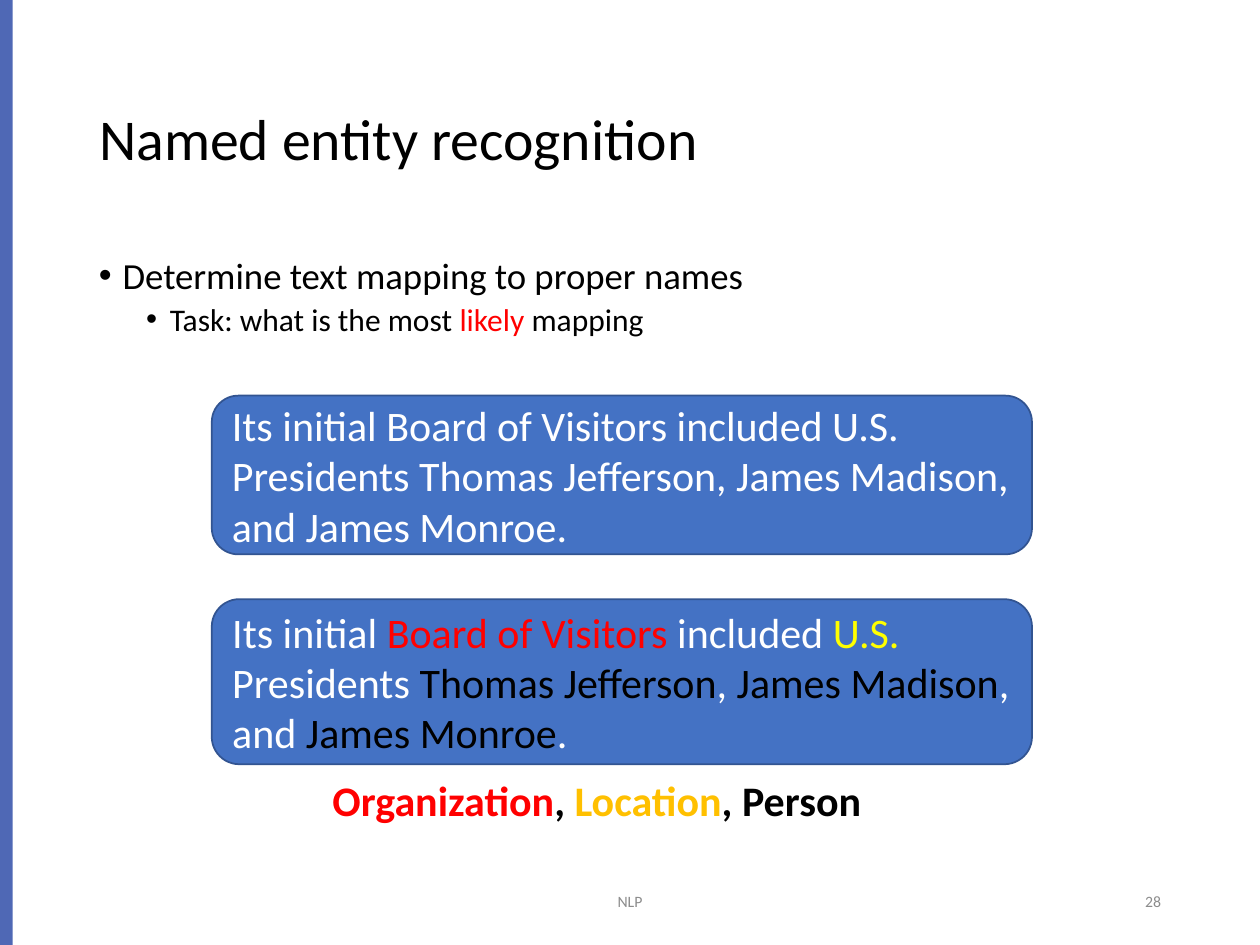
from dataclasses import dataclass
from typing import NamedTuple

from lxml.etree import SubElement
from pptx import Presentation
from pptx.dml.color import RGBColor as Color
from pptx.enum.shapes import MSO_SHAPE as Shape
from pptx.enum.text import MSO_ANCHOR as Anchor, MSO_AUTO_SIZE as AutoSize, PP_ALIGN as Align
from pptx.oxml.ns import qn
from pptx.util import Pt


@dataclass(frozen=True)
class Theme:
    font: str = "Calibri"
    black: str = "000000"
    white: str = "FFFFFF"
    red: str = "FF0000"
    yellow: str = "FFFF00"
    gold: str = "FFC000"
    gray: str = "8C8C8C"
    box: str = "4472C4"
    box_line: str = "325491"
    bar: str = "3C58AD"
    title_size: float = 33
    bullet_size: float = 21
    sub_bullet_size: float = 18
    example_size: float = 24
    footer_size: float = 9


class Box(NamedTuple):
    left: float
    top: float
    width: float
    height: float

    def points(self) -> list:
        return [Pt(value) for value in self]


class Span(NamedTuple):
    text: str
    color: str


class Bullet(NamedTuple):
    spans: list
    size: float
    level: int
    margin: float
    layout: dict


class Footer(NamedTuple):
    text: str
    box: Box
    align: Align


THEME = Theme()
HANGING = 13.5


def set_format(target, values: dict) -> None:
    for name, value in values.items():
        setattr(target, name, value)


def write_spans(paragraph, spans: list, size: float, bold: bool = False) -> None:
    for span in spans:
        run = paragraph.add_run()
        run.text = span.text
        set_format(run.font, {"name": THEME.font, "size": Pt(size), "bold": bold})
        run.font.color.rgb = Color.from_string(span.color)


def add_text(shapes, box: Box, anchor: Anchor = Anchor.TOP):
    frame = shapes.add_textbox(*box.points()).text_frame
    set_format(frame, {"word_wrap": True, "vertical_anchor": anchor})
    return frame


def add_bullet(paragraph, bullet: Bullet) -> None:
    paragraph.level = bullet.level
    set_format(paragraph, bullet.layout)
    properties = paragraph._p.get_or_add_pPr()
    properties.set("marL", str(Pt(bullet.margin)))
    properties.set("indent", str(Pt(-HANGING)))
    SubElement(properties, qn("a:buFont")).set("typeface", "Arial")
    SubElement(properties, qn("a:buChar")).set("char", "•")
    write_spans(paragraph, bullet.spans, bullet.size)


def add_example(shapes, box: Box, spans: list) -> None:
    shape = shapes.add_shape(Shape.ROUNDED_RECTANGLE, *box.points())
    shape.shadow.inherit = False
    shape.fill.solid()
    shape.fill.fore_color.rgb = Color.from_string(THEME.box)
    shape.line.color.rgb = Color.from_string(THEME.box_line)
    shape.line.width = Pt(1)
    frame = shape.text_frame
    set_format(frame, {"word_wrap": True, "vertical_anchor": Anchor.MIDDLE})
    frame.paragraphs[0].alignment = Align.LEFT
    write_spans(frame.paragraphs[0], spans, THEME.example_size)


def add_side_bar(shapes, box: Box) -> None:
    bar = shapes.add_shape(Shape.RECTANGLE, *box.points())
    bar.shadow.inherit = False
    bar.fill.solid()
    bar.fill.fore_color.rgb = Color.from_string(THEME.bar)
    color = bar._element.spPr.find(qn("a:solidFill"))[0]
    SubElement(color, qn("a:alpha")).set("val", "90000")
    bar.line.fill.background()


def format_title(title, box: Box, text: str) -> None:
    set_format(title, dict(zip(("left", "top", "width", "height"), box.points())))
    frame = title.text_frame
    set_format(frame, {"word_wrap": True, "auto_size": AutoSize.NONE,
                       "vertical_anchor": Anchor.MIDDLE})
    set_format(frame.paragraphs[0], {"alignment": Align.LEFT, "line_spacing": 0.9})
    write_spans(frame.paragraphs[0], [Span(text, THEME.black)], THEME.title_size)


def main() -> None:
    presentation = Presentation()
    set_format(presentation, {"slide_width": Pt(720), "slide_height": Pt(540)})
    slide = presentation.slides.add_slide(presentation.slide_layouts[5])
    shapes = slide.shapes
    black, white, red = THEME.black, THEME.white, THEME.red

    # Side bar and title
    add_side_bar(shapes, Box(0, 0, 7.2, 540))
    format_title(shapes.title, Box(49.5, 28.75, 621, 104.4), "Named entity recognition")

    # Bullets
    bullets = [
        Bullet([Span("Determine text mapping to proper names", black)],
               THEME.bullet_size, 0, HANGING, {"line_spacing": 0.9}),
        Bullet([Span("Task: what is the most ", black), Span("likely", red),
                Span(" mapping", black)],
               THEME.sub_bullet_size, 1, 3 * HANGING,
               {"line_spacing": 0.9, "space_before": Pt(3.75)}),
    ]
    body = add_text(shapes, Box(49.5, 143.75, 621, 342.7))
    for index, bullet in enumerate(bullets):
        add_bullet(body.add_paragraph() if index else body.paragraphs[0], bullet)

    # Footer
    footers = [
        Footer("NLP", Box(238.5, 500.5, 243, 28.75), Align.CENTER),
        Footer("28", Box(508.5, 500.5, 162, 28.75), Align.RIGHT),
    ]
    for footer in footers:
        paragraph = add_text(shapes, footer.box, Anchor.MIDDLE).paragraphs[0]
        paragraph.alignment = footer.align
        write_spans(paragraph, [Span(footer.text, THEME.gray)], THEME.footer_size)

    # Plain sentence, then the same sentence with its entities coloured
    tagged = [
        Span("Its initial ", white), Span("Board of Visitors ", red),
        Span("included ", white), Span("U.S.", THEME.yellow),
        Span(" Presidents ", white), Span("Thomas Jefferson", black),
        Span(", ", white), Span("James Madison", black),
        Span(", and ", white), Span("James Monroe", black), Span(".", white),
    ]
    sentence = "".join(span.text for span in tagged)
    add_example(shapes, Box(121, 226.1, 468.7, 90.7), [Span(sentence, white)])
    group = shapes.add_group_shape().shapes
    add_example(group, Box(121, 342.4, 468.7, 94.3), tagged)

    # Legend of entity types
    legend = add_text(group, Box(182.9, 439.2, 344.9, 36))
    legend.auto_size = AutoSize.SHAPE_TO_FIT_TEXT
    write_spans(legend.paragraphs[0],
                [Span("Organization", red), Span(", ", black),
                 Span("Location", THEME.gold), Span(", Person", black)],
                THEME.example_size, bold=True)

    presentation.save("out.pptx")


if __name__ == "__main__":
    main()
